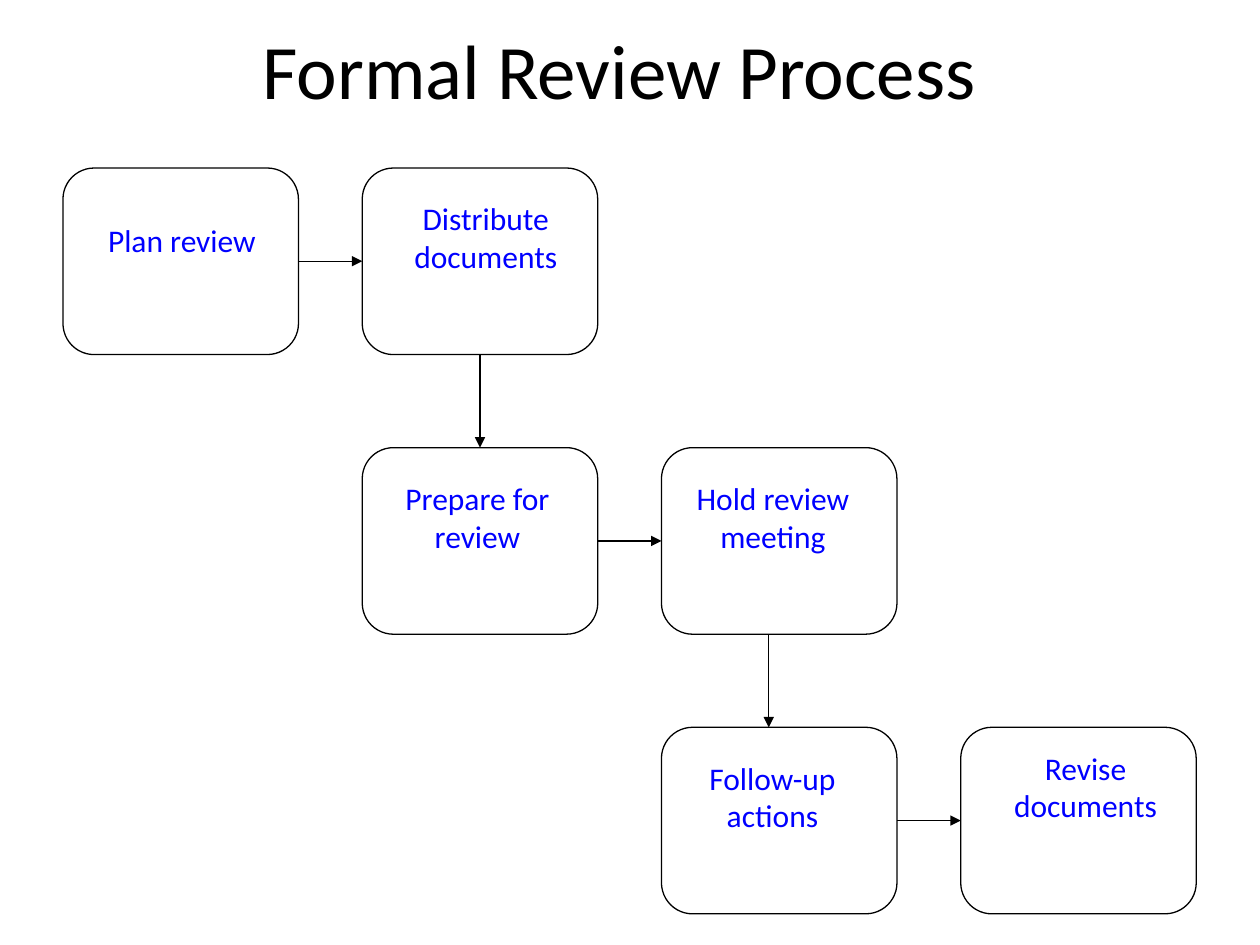
import pptx
import pptx.dml.color
import pptx.enum.shapes
import pptx.enum.text
import pptx.oxml
import pptx.oxml.ns
import pptx.util

Pt = pptx.util.Pt
RGB = pptx.dml.color.RGBColor
CENTER = pptx.enum.text.PP_ALIGN.CENTER

TITLE = "Formal Review Process"
# column, row, label lines, label centre shift, label top inset, label width
STEPS = [
    (0, 0, ["Plan review"], 0.7, 26.6, 100),
    (1, 0, ["Distribute", "documents"], 3.3, 14.4, 97.2),
    (1, 1, ["Prepare for", "review"], -1.4, 14.4, 97.9),
    (2, 1, ["Hold review", "meeting"], -3.6, 14.4, 103),
    (2, 2, ["Follow-up", "actions"], -3.9, 14.4, 87.8),
    (3, 2, ["Revise", "documents"], 4, 8.6, 97.2),
]
DOWN_ARROW_SHIFT = {1: 0, 2: -6}

THEME = {
    "font": "Calibri",
    "title_size": Pt(44),
    "label_size": Pt(18),
    "ink": RGB(0, 0, 0),
    "label": RGB(0, 0, 255),
    "line": Pt(0.75),
}
LEFT, TOP = 36, 96
COLUMN_STEP, ROW_STEP = 171, 159.8
STEP_W, STEP_H = 134.6, 106.6
LINE_H, LABEL_PADDING = 22, 7.2


def origin(column, row):
    return LEFT + column * COLUMN_STEP, TOP + row * ROW_STEP


def write(paragraph, wording, size, color):
    paragraph.alignment = CENTER
    run = paragraph.add_run()
    run.text = wording
    run.font.name = THEME["font"]
    run.font.size = size
    run.font.color.rgb = color


def add_step(slide, column, row):
    x, y = origin(column, row)
    step = slide.shapes.add_shape(
        pptx.enum.shapes.MSO_SHAPE.ROUNDED_RECTANGLE,
        Pt(x), Pt(y), Pt(STEP_W), Pt(STEP_H))
    step.adjustments[0] = 0.167
    step.shadow.inherit = False
    step.fill.background()
    step.line.color.rgb = THEME["ink"]
    step.line.width = THEME["line"]


def add_label(slide, column, row, lines, shift, inset, width):
    x, y = origin(column, row)
    label = slide.shapes.add_textbox(
        Pt(x + STEP_W / 2 + shift - width / 2), Pt(y + inset),
        Pt(width), Pt(len(lines) * LINE_H + LABEL_PADDING))
    frame = label.text_frame
    frame.word_wrap = False
    frame.auto_size = pptx.enum.text.MSO_AUTO_SIZE.SHAPE_TO_FIT_TEXT
    for index, line in enumerate(lines):
        paragraph = frame.add_paragraph() if index else frame.paragraphs[0]
        write(paragraph, line, THEME["label_size"], THEME["label"])


def add_arrow(slide, start, end):
    arrow = slide.shapes.add_connector(
        pptx.enum.shapes.MSO_CONNECTOR.STRAIGHT,
        *(Pt(length) for length in start + end))
    arrow.line.color.rgb = THEME["ink"]
    arrow.line.width = THEME["line"]
    head = pptx.oxml.parse_xml(
        '<a:tailEnd %s type="triangle"/>' % pptx.oxml.ns.nsdecls("a"))
    arrow.line._get_or_add_ln().append(head)
    properties = arrow._element.spPr
    properties.append(pptx.oxml.parse_xml(
        "<a:effectLst %s/>" % pptx.oxml.ns.nsdecls("a")))


def link_steps(slide, before, after):
    x, y = origin(*before[:2])
    next_x, next_y = origin(*after[:2])
    if before[1] == after[1]:
        middle = y + STEP_H / 2
        add_arrow(slide, (x + STEP_W, middle), (next_x, middle))
    else:
        centre = x + STEP_W / 2 + DOWN_ARROW_SHIFT[before[0]]
        add_arrow(slide, (centre, y + STEP_H), (centre, next_y))


def main():
    deck = pptx.Presentation()
    deck.slide_width, deck.slide_height = Pt(720), Pt(540)
    slide = deck.slides.add_slide(deck.slide_layouts.get_by_name("Title Only"))

    title = slide.shapes.title
    title.left, title.top, title.width, title.height = Pt(0), Pt(0), Pt(708), Pt(78)
    title.text_frame.vertical_anchor = pptx.enum.text.MSO_ANCHOR.MIDDLE
    write(title.text_frame.paragraphs[0], TITLE, THEME["title_size"], THEME["ink"])

    for step in STEPS:
        add_step(slide, *step[:2])
    for before, after in zip(STEPS, STEPS[1:]):
        link_steps(slide, before, after)
    for step in STEPS:
        add_label(slide, *step)

    deck.save("out.pptx")


if __name__ == "__main__":
    main()
